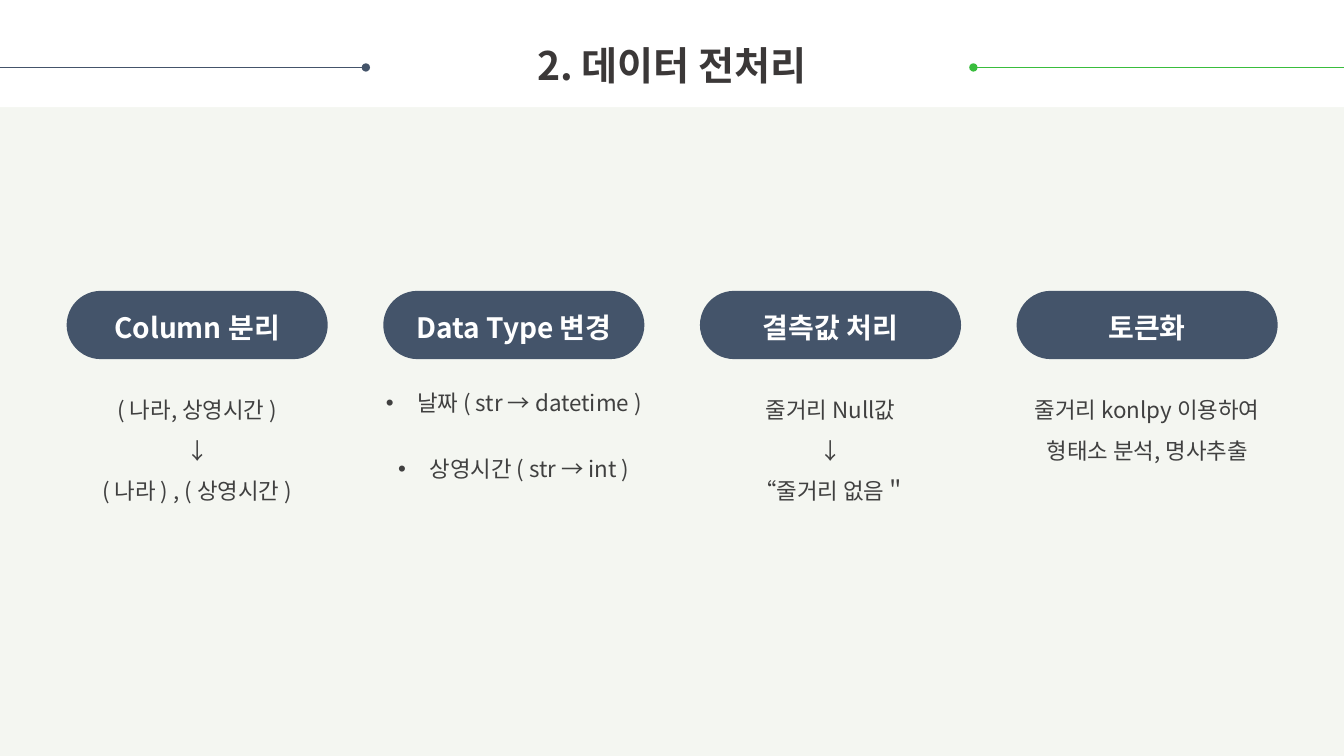
from lxml import etree
from pptx import Presentation
from pptx.dml.color import RGBColor
from pptx.enum.shapes import MSO_CONNECTOR as CONN, MSO_SHAPE as SHAPE
from pptx.enum.text import MSO_ANCHOR as ANCHOR, MSO_AUTO_SIZE as FIT, PP_ALIGN as ALIGN
from pptx.oxml.ns import qn
from pptx.util import Cm, Pt

FONT = "Noto Sans CJK KR"
COLORS = {k: RGBColor.from_string(v) for k, v in {
    "background": "F4F6F1", "band": "FFFFFF", "title": "3B3838",
    "navy": "44546A", "green": "39BD3D", "body": "404040",
}.items()}
FORMATS = {
    "title": {"size": Pt(28), "bold": True, "color": "title"},
    "heading": {"size": Pt(20), "bold": True, "color": "band"},
    "body": {"size": Pt(16), "bold": False, "color": "body"},
}


def write(tf, lines, style, anchor=ANCHOR.TOP):
    """Fill a text frame with centred lines in one of the FORMATS."""
    tf.word_wrap, tf.auto_size, tf.vertical_anchor = True, FIT.NONE, anchor
    for i, line in enumerate(lines):
        p = tf.paragraphs[0] if i == 0 else tf.add_paragraph()
        p.alignment, p.line_spacing, p.space_before = ALIGN.CENTER, 1.5, Pt(0)
        r = p.add_run()
        r.text = line
        r.font.name = FONT
        for name, value in FORMATS[style].items():
            if name == "color":
                r.font.color.rgb = COLORS[value]
            else:
                setattr(r.font, name, value)
        etree.SubElement(r.font._element, qn("a:ea"), typeface=FONT)


prs = Presentation()
prs.slide_width, prs.slide_height = Cm(33.87), Cm(19.05)
s = prs.slides.add_slide(prs.slide_layouts[1])
s.background.fill.solid()
s.background.fill.fore_color.rgb = COLORS["background"]

# Title band
title, type_list = s.placeholders
title.left, title.top, title.width, title.height = 0, 0, prs.slide_width, Cm(2.7)
title.fill.solid()
title.fill.fore_color.rgb = COLORS["band"]
write(title.text_frame, ["2. 데이터 전처리"], "title", ANCHOR.MIDDLE)

# Lines from a dot beside the title to each slide edge
for dot_x, edge_x, color in [(Cm(24.53), prs.slide_width, "green"), (Cm(9.22), 0, "navy")]:
    line = s.shapes.add_connector(CONN.STRAIGHT, dot_x, Cm(1.7), edge_x, Cm(1.7))
    line.line.color.rgb = COLORS[color]
    line.line.width = Pt(0.5)
    etree.SubElement(line.line._get_or_add_ln(), qn("a:headEnd"), type="oval")
    etree.SubElement(line._element.spPr, qn("a:effectLst"))

# Four steps: a pill heading above its text
STEPS = [
    ("Column 분리", ["( 나라, 상영시간 )", "↓", "( 나라 ) , ( 상영시간 )"]),
    ("Data Type 변경", ["날짜 ( str → datetime )", "상영시간 ( str → int )"]),
    ("결측값 처리", ["줄거리 Null값", "↓", "“줄거리 없음＂"]),
    ("토큰화", ["줄거리 konlpy 이용하여", "형태소 분석, 명사추출"]),
]
LIST_STEP = 1
PILL_W, TEXT_W = Cm(6.58), Cm(7.42)
for i, (heading, lines) in enumerate(STEPS):
    left = Cm(1.68 + 7.98 * i)
    pill = s.shapes.add_shape(SHAPE.ROUNDED_RECTANGLE, left, Cm(7.33), PILL_W, Cm(1.72))
    pill.adjustments[0] = 0.5
    pill.shadow.inherit = False
    pill.fill.solid()
    pill.fill.fore_color.rgb = COLORS["navy"]
    pill.line.fill.background()
    write(pill.text_frame, [heading], "heading", ANCHOR.BOTTOM)

    text_box = (left - (TEXT_W - PILL_W) // 2, Cm(9.53), TEXT_W, Cm(3.3))
    if i == LIST_STEP:
        sp = type_list
        sp.left, sp.top, sp.width, sp.height = text_box
        sp.top = Cm(9.68)
    else:
        sp = s.shapes.add_textbox(*text_box)
    write(sp.text_frame, lines, "body")

# Bulleted list of type changes
first, second = type_list.text_frame.paragraphs
first.line_spacing = 1.0
second.space_before = Pt(18.5)
for p in (first, second):
    pPr = p._p.get_or_add_pPr()
    pPr.set("marL", str(Cm(0.79)))
    pPr.set("indent", str(-Cm(0.79)))
    etree.SubElement(pPr, qn("a:buFont"), typeface="Arial")
    etree.SubElement(pPr, qn("a:buChar"), char="•")

prs.save("out.pptx")
